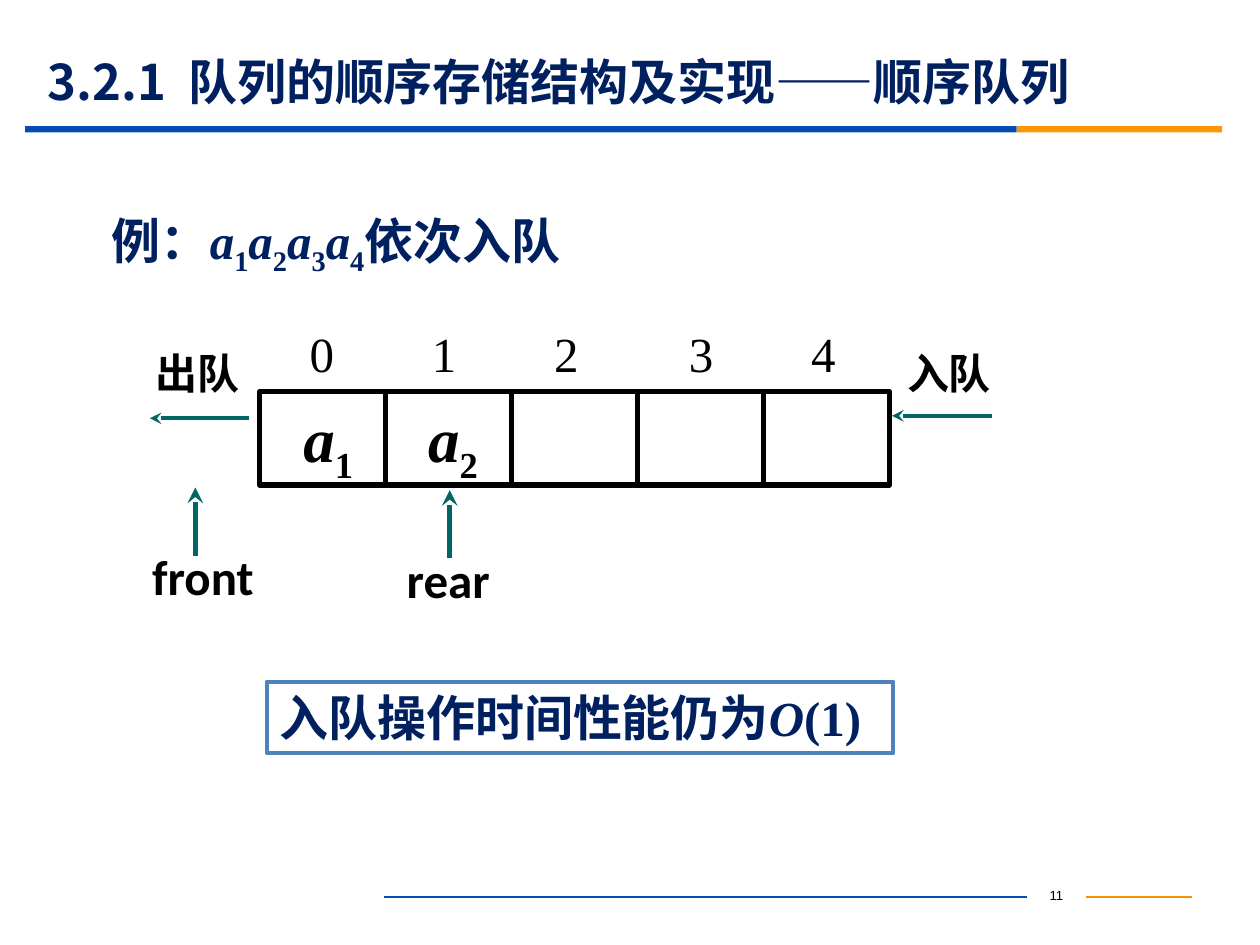
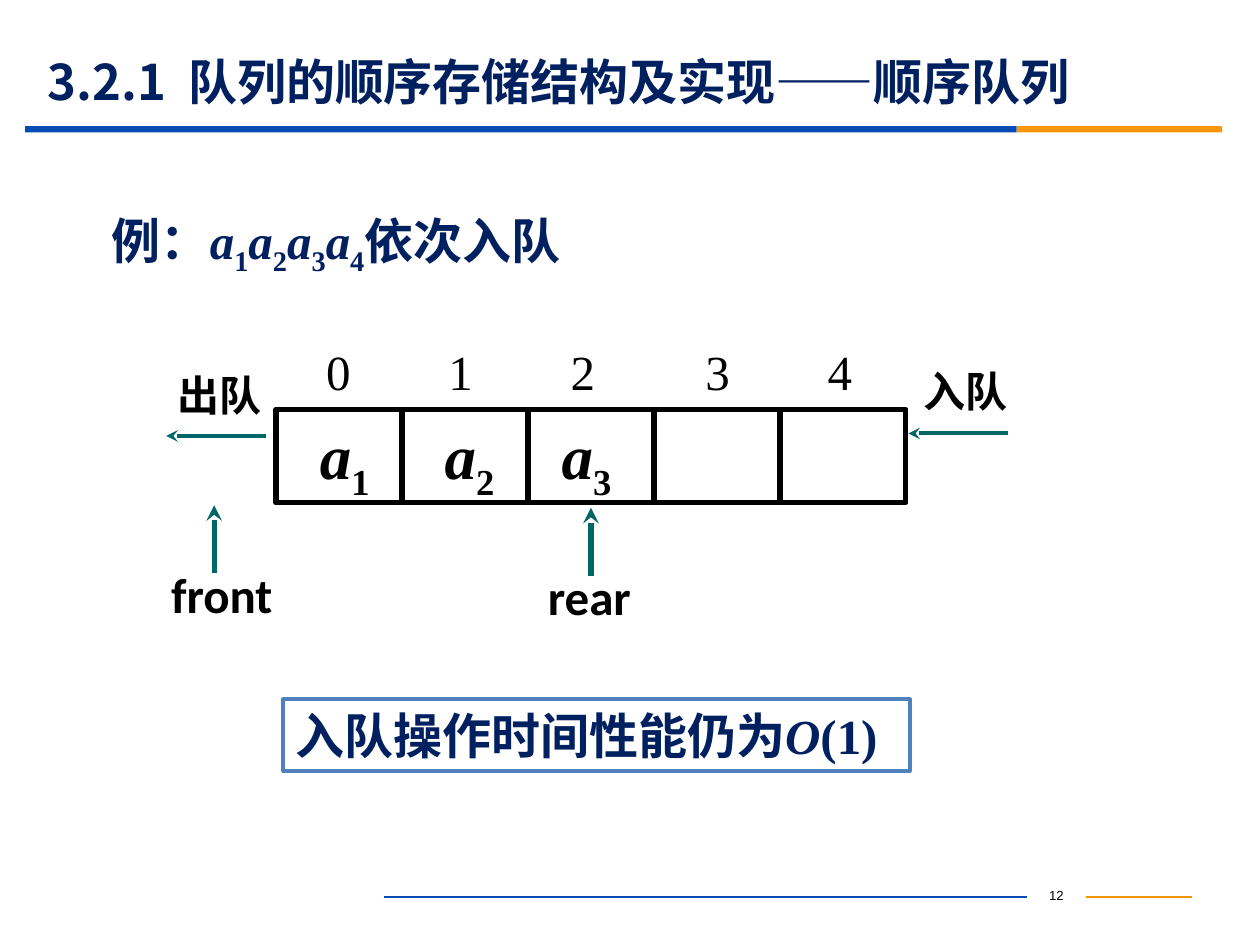
from dataclasses import dataclass
from typing import Optional

from lxml.etree import SubElement
from pptx import Presentation
from pptx.dml.color import RGBColor
from pptx.enum.shapes import MSO_CONNECTOR as Connector, MSO_SHAPE as Shape
from pptx.enum.text import MSO_ANCHOR as Anchor, MSO_AUTO_SIZE as AutoSize, PP_ALIGN as Align
from pptx.oxml.ns import qn
from pptx.util import Inches, Pt

COLORS = {
    "white": "FFFFFF", "black": "000000", "navy": "002060", "blue": "064BB2",
    "orange": "FB9708", "amber": "F19500", "teal": "006666", "frame": "4F81BD",
}
SERIF, SANS, LABEL, CJK = "Times New Roman", "Arial", "Calibri", "Noto Sans CJK SC"
TITLE = "3.2.1  队列的顺序存储结构及实现——顺序队列"
INDEX_TABS = (0.97, 1.94, 3.01, 3.98)
CELL_COUNT, CELL_WIDTH, CELL_HEIGHT = 5, 1.0, 0.74
VALUE_LEFTS = (2.31, 3.3, 4.23)


@dataclass(frozen=True)
class Area:
    left: float
    top: float
    width: float
    height: float

    def lengths(self) -> tuple:
        return tuple(Inches(v) for v in (self.left, self.top, self.width, self.height))


@dataclass(frozen=True)
class Style:
    size: float
    font: str = SERIF
    color: str = "black"
    bold: bool = True


@dataclass(frozen=True)
class Span:
    text: str
    italic: bool = False
    subscript: bool = False


@dataclass(frozen=True)
class QueueState:
    number: int
    dx: float
    dy: float
    values: int
    leave_label: tuple[float, float]
    front: tuple[float, float]
    rear: tuple[float, float]


STATES = (
    QueueState(11, 0, 0, 2, (1.0, 2.71), (1.11, 4.29), (3.13, 4.31)),
    QueueState(12, 0.13, 0.14, 3, (1.17, 2.88), (1.26, 4.43), (4.25, 4.45)),
)
HEADING = Style(28, color="navy")
SIDE = Style(24)
POINTER = Style(28, LABEL)


def rgb(name: str) -> RGBColor:
    return RGBColor.from_string(COLORS[name])


def element(index: int) -> list[Span]:
    return [Span("a", italic=True), Span(str(index), subscript=True)]


# Basic drawing
def add_text(page, area: Area, spans: list[Span], style: Style,
             align: Align = Align.LEFT, grow: bool = True):
    box = page.shapes.add_textbox(*area.lengths())
    frame = box.text_frame
    frame.word_wrap = True
    frame.auto_size = AutoSize.SHAPE_TO_FIT_TEXT if grow else AutoSize.NONE
    para = frame.paragraphs[0]
    para.alignment = align
    for span in spans:
        run = para.add_run()
        run.text = span.text
        font = run.font
        font.name, font.size, font.bold = style.font, Pt(style.size), style.bold
        font.italic = span.italic
        font.color.rgb = rgb(style.color)
        properties = font._element
        if span.subscript:
            properties.set("baseline", "-25000")
        SubElement(properties, qn("a:ea")).set("typeface", CJK)
    return box


def add_box(page, area: Area, fill: str, outline: Optional[str] = None, width: float = 0) -> None:
    box = page.shapes.add_shape(Shape.RECTANGLE, *area.lengths())
    box.shadow.inherit = False
    box.fill.solid()
    box.fill.fore_color.rgb = rgb(fill)
    if outline:
        box.line.color.rgb = rgb(outline)
        box.line.width = Pt(width)
    else:
        box.line.fill.background()


def add_line(page, start: tuple[float, float], end: tuple[float, float],
             color: str, width: float, arrow: bool = False) -> None:
    points = [Inches(v) for v in (*start, *end)]
    line = page.shapes.add_connector(Connector.STRAIGHT, *points)
    line.line.color.rgb = rgb(color)
    line.line.width = Pt(width)
    if arrow:
        SubElement(line.line._get_or_add_ln(), qn("a:tailEnd")).set("type", "stealth")
    SubElement(line._element.spPr, qn("a:effectLst"))


# Title, bands and footer shared by the slides
def add_frame(page, number: int) -> None:
    add_text(page, Area(8.15, 6.99, 0.47, 0.25), [Span(str(number))],
             Style(7.5, SANS, bold=False), Align.CENTER, grow=False)
    add_line(page, (8.62, 7.12), (9.46, 7.12), "amber", 0.75)
    add_line(page, (3.05, 7.12), (8.15, 7.12), "blue", 0.75)
    add_box(page, Area(0.2, 1, 7.87, 0.05), "blue")
    add_box(page, Area(8.07, 1, 1.63, 0.05), "orange")
    title = add_text(page, Area(0.28, 0.43, 9, 0.43), [Span(TITLE)],
                     Style(28, CJK, "navy"), grow=False)
    title.text_frame.vertical_anchor = Anchor.MIDDLE


# Array cells with indices and stored values
def add_array(page, state: QueueState) -> None:
    dx, dy = state.dx, state.dy
    for column in range(CELL_COUNT):
        add_box(page, Area(2.06 + dx + column * CELL_WIDTH, 3.11 + dy, CELL_WIDTH, CELL_HEIGHT),
                "white", "black", 3)
    indices = add_text(page, Area(2.36 + dx, 2.52 + dy, 4.68, 0.57),
                       [Span("\t".join(map(str, range(CELL_COUNT))))], Style(28, bold=False))
    properties = indices.text_frame.paragraphs[0]._p.get_or_add_pPr()
    stops = SubElement(properties, qn("a:tabLst"))
    for position in INDEX_TABS:
        stop = SubElement(stops, qn("a:tab"))
        stop.set("pos", str(Inches(position)))
        stop.set("algn", "l")
    for index, left in enumerate(VALUE_LEFTS[:state.values], start=1):
        add_text(page, Area(left + dx, 3.12 + dy, 0.64, 0.7), element(index), Style(36))


# Arrows where elements enter and leave
def add_ends(page, state: QueueState) -> None:
    dx, dy = state.dx, state.dy
    add_text(page, Area(7.1 + dx, 2.71 + dy, 1.08, 0.5), [Span("入队")], SIDE)
    add_text(page, Area(*state.leave_label, 1, 0.5), [Span("出队")], SIDE, Align.RIGHT)
    for left, top in ((7.08, 3.3), (1.19, 3.32)):
        add_line(page, (left + 0.79 + dx, top + dy), (left + dx, top + dy), "teal", 2.25, arrow=True)


def add_pointer(page, name: str, left: float, top: float) -> None:
    add_line(page, (left + 0.44, top + 0.12), (left + 0.44, top - 0.42), "teal", 3, arrow=True)
    add_text(page, Area(left, top, 1.13, 0.57), [Span(name)], POINTER)


def add_queue_slide(deck, state: QueueState) -> None:
    page = deck.slides.add_slide(deck.slide_layouts[6])
    add_frame(page, state.number)
    sequence = [span for index in range(1, 5) for span in element(index)]
    add_text(page, Area(0.79, 1.62, 4.28, 0.57),
             [Span("例："), *sequence, Span("依次入队")], HEADING)
    add_array(page, state)
    add_ends(page, state)
    add_pointer(page, "rear", *state.rear)
    add_pointer(page, "front", *state.front)
    # Framed conclusion
    result = add_text(page, Area(2.12 + state.dx, 5.41 + state.dy, 4.97, 0.57),
                      [Span("入队操作时间性能仍为"), Span("O", italic=True), Span("(1)")], HEADING)
    result.line.color.rgb = rgb("frame")
    result.line.width = Pt(2.25)


def main() -> None:
    deck = Presentation()
    deck.slide_width, deck.slide_height = Inches(10), Inches(7.5)
    for state in STATES:
        add_queue_slide(deck, state)
    deck.save("out.pptx")


if __name__ == "__main__":
    main()
